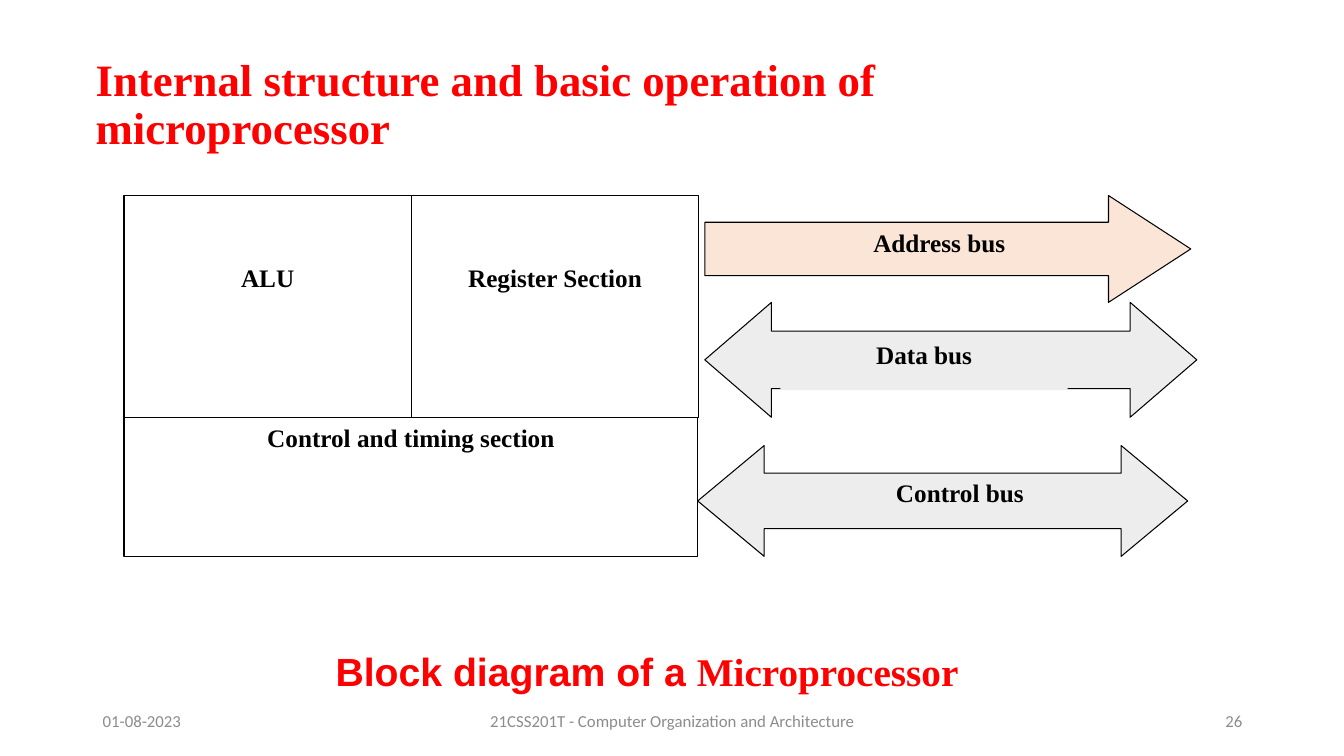
from dataclasses import dataclass

from pptx import Presentation
from pptx.dml.color import RGBColor
from pptx.enum.shapes import MSO_SHAPE
from pptx.enum.text import MSO_ANCHOR, PP_ALIGN
from pptx.util import Inches, Pt

RECTANGLE = MSO_SHAPE.RECTANGLE
RIGHT_ARROW = MSO_SHAPE.RIGHT_ARROW
DOUBLE_ARROW = MSO_SHAPE.LEFT_RIGHT_ARROW
TOP, MIDDLE = MSO_ANCHOR.TOP, MSO_ANCHOR.MIDDLE
LEFT, CENTER, RIGHT = PP_ALIGN.LEFT, PP_ALIGN.CENTER, PP_ALIGN.RIGHT

COLORS = {
    "white": "FFFFFF",
    "black": "000000",
    "red": "FF0000",
    "peach": "FBE5D6",
    "silver": "EDEDED",
    "gray": "8C8C8C",
}
SERIF, SANS, FOOTER_FONT = "Times New Roman", "Arial", "Calibri"


@dataclass
class Area:
    left: float
    top: float
    width: float
    height: float

    def lengths(self) -> list:
        return [Inches(n) for n in (self.left, self.top, self.width, self.height)]


@dataclass
class Span:
    text: str
    size: int = 18
    font: str = SERIF
    color: str = "black"
    bold: bool = True


@dataclass
class TextItem:
    area: Area
    spans: list[Span]
    align: PP_ALIGN = CENTER
    anchor: MSO_ANCHOR = TOP
    inset: tuple[float, float] = (0.1, 0.05)
    line_spacing: float = 1.0


@dataclass
class Block:
    area: Area
    label: str
    text_top: float = 0.05


@dataclass
class Bus:
    area: Area
    kind: MSO_SHAPE
    head: float
    fill: str
    label: str
    label_area: Area
    label_filled: bool = False


def rgb(name: str) -> RGBColor:
    return RGBColor.from_string(COLORS[name])


def write(box, spans: list[Span], align, anchor, inset, line_spacing=1.0) -> None:
    frame = box.text_frame
    frame.word_wrap = True
    frame.vertical_anchor = anchor
    frame.margin_left = frame.margin_right = Inches(inset[0])
    frame.margin_top = Inches(inset[1])
    frame.margin_bottom = Inches(0.05)
    para = frame.paragraphs[0]
    para.alignment = align
    para.line_spacing = line_spacing
    for span in spans:
        run = para.add_run()
        run.text = span.text
        run.font.size = Pt(span.size)
        run.font.name = span.font
        run.font.bold = span.bold
        run.font.color.rgb = rgb(span.color)


def add_text(page, item: TextItem):
    box = page.shapes.add_textbox(*item.area.lengths())
    write(box, item.spans, item.align, item.anchor, item.inset, item.line_spacing)
    return box


def add_outlined(page, kind: MSO_SHAPE, area: Area, fill: str):
    shape = page.shapes.add_shape(kind, *area.lengths())
    shape.shadow.inherit = False
    shape.fill.solid()
    shape.fill.fore_color.rgb = rgb(fill)
    shape.line.color.rgb = rgb("black")
    shape.line.width = Pt(0.75)
    return shape


def add_block(page, block: Block) -> None:
    shape = add_outlined(page, RECTANGLE, block.area, "white")
    write(shape, [Span(block.label)], CENTER, TOP, (0.09, block.text_top))


def add_bus(page, bus: Bus) -> None:
    arrow = add_outlined(page, bus.kind, bus.area, bus.fill)
    arrow.adjustments[0] = 0.5
    arrow.adjustments[1] = bus.head
    label = add_text(page, TextItem(bus.label_area, [Span(bus.label)], inset=(0.09, 0.05)))
    if bus.label_filled:
        label.fill.solid()
        label.fill.fore_color.rgb = rgb(bus.fill)


def footer(text: str, left: float, width: float, align: PP_ALIGN) -> TextItem:
    span = Span(text, 12, FOOTER_FONT, "gray", False)
    return TextItem(Area(left, 6.95, width, 0.4), [span], align, MIDDLE)


BLOCKS = [
    Block(Area(1.23, 1.94, 2.85, 2.2), "ALU", 0.66),
    Block(Area(4.08, 1.94, 2.85, 2.2), "Register Section", 0.66),
    Block(Area(1.23, 4.14, 5.69, 1.38), "Control and timing section"),
]
BUSES = [
    Bus(Area(6.99, 1.94, 4.82, 1.06), RIGHT_ARROW, 0.77, "peach",
        "Address bus", Area(7.74, 2.21, 3.15, 0.55)),
    Bus(Area(6.99, 3, 4.88, 1.14), DOUBLE_ARROW, 0.58, "silver",
        "Data bus", Area(7.74, 3.32, 2.85, 0.55), label_filled=True),
    Bus(Area(6.92, 4.42, 4.86, 1.1), DOUBLE_ARROW, 0.6, "silver",
        "Control bus", Area(7.74, 4.69, 3.56, 0.55)),
]
TEXTS = [
    # Title
    TextItem(Area(0.85, 0.53, 10.23, 1.04),
             [Span("Internal structure and basic operation of microprocessor", 32, color="red")],
             LEFT, MIDDLE, line_spacing=0.9),
    # Caption
    TextItem(Area(3.23, 6.37, 7.42, 0.57),
             [Span("Block diagram of a ", 28, SANS, "red"),
              Span("Microprocessor", 28, color="red")], LEFT),
    # Footer
    footer("01-08-2023", 0.92, 3, LEFT),
    footer("21CSS201T - Computer Organization and Architecture", 4.42, 4.5, CENTER),
    footer("26", 9.42, 3, RIGHT),
]


def main() -> None:
    deck = Presentation()
    deck.slide_width, deck.slide_height = Inches(13.33), Inches(7.5)
    page = deck.slides.add_slide(deck.slide_layouts[6])

    # Processor sections
    for block in BLOCKS:
        add_block(page, block)

    # Buses
    for bus in BUSES:
        add_bus(page, bus)

    # Title, caption and footer
    for item in TEXTS:
        add_text(page, item)

    deck.save("out.pptx")


if __name__ == "__main__":
    main()
